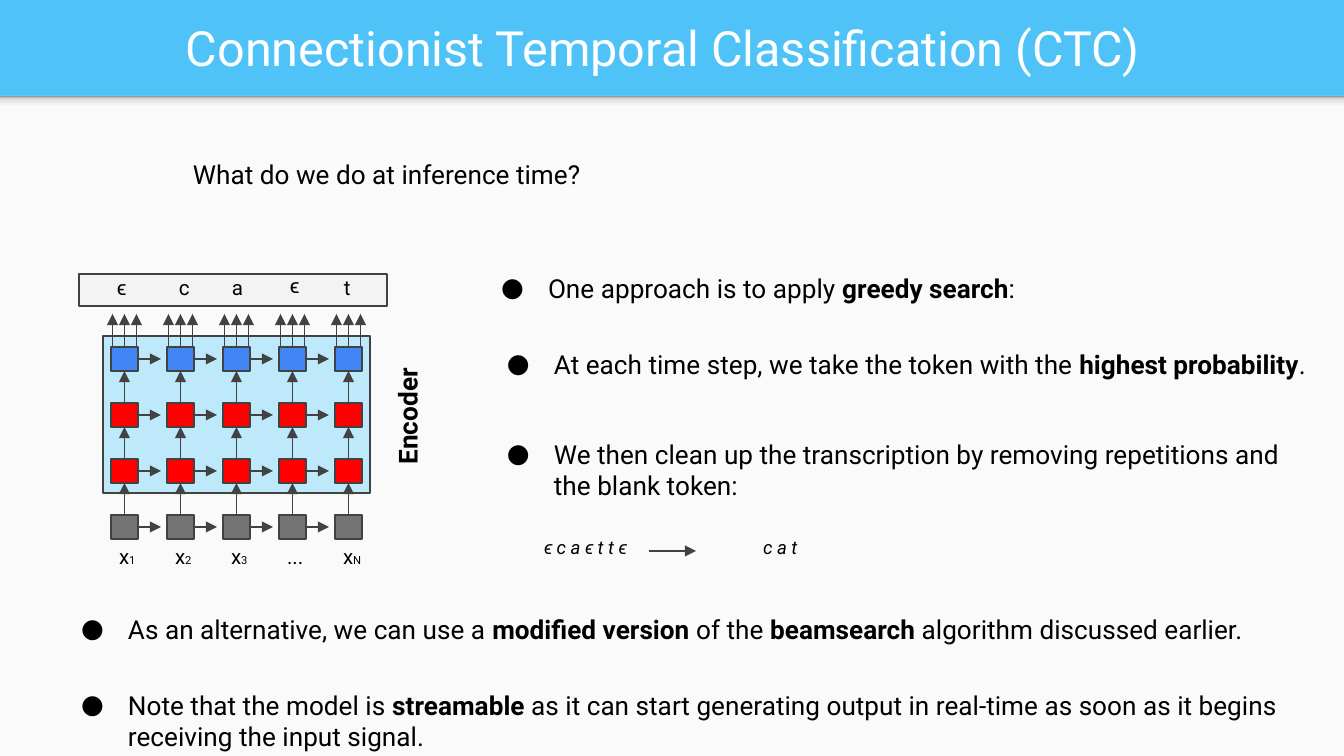
import pptx
import pptx.util
import pptx.dml.color
import pptx.enum.shapes
import pptx.enum.text
import pptx.oxml.ns
from lxml import etree

# Content: places are (left, top, width, height) in px
COLORS = {
    "header": "4FC3F7", "paper": "FAFAFA", "title": "FFFFFF", "text": "000000",
    "line": "424242", "strip": "F3F3F3", "encoder": "00B6FF",
    "output": "4285F4", "hidden": "FF0000", "input": "737373",
}
SHADOW_STOPS = [(0, "F9F9F9"), (36, "F9F9F9"), (80, "DEDEDE"), (100, "999999")]
TITLE = "Connectionist Temporal Classification (CTC)"
QUESTION = "What do we do at inference time?"
# Words between asterisks are bold
BULLETS = [
    ("One approach is to apply *greedy search*:", (468, 259, 831, 59)),
    ("At each time step, we take the token with the *highest probability*.",
     (474, 335, 850, 59)),
    ("We then clean up the transcription by removing repetitions and the blank token:",
     (474, 425, 850, 90)),
    ("As an alternative, we can use a *modified version* of the *beamsearch* "
     "algorithm discussed earlier.", (48, 600, 1263, 59)),
    ("Note that the model is *streamable *as it can start generating output in "
     "real-time as soon as it begins receiving the input signal.", (48, 676, 1263, 90)),
]
EXAMPLE = [("ϵ c a ϵ t t ϵ", (531, 525, 132, 50)), ("c a t", (750, 525, 90, 50))]
TOKENS = [("ϵ", 104, 263), ("c", 166, 263), ("a", 219, 263), ("ϵ", 277, 261), ("t", 331, 263)]
INPUTS = ["x*1*", "x*2*", "x*3*", "...", "x*N*"]
LAYERS = ["output", "hidden", "hidden", "input"]

# Network grid
GRID_LEFT, GRID_TOP, STEP = 111, 347, 56
CELL_WIDTH, CELL_HEIGHT = 27, 24
SIDE_ARROW, UP_ARROW, FAN = 23, 33, 12
INSET = 13


def px(value):
    return pptx.util.Emu(round(value * 914400 / 134.4))


def color(name):
    return pptx.dml.color.RGBColor.from_string(COLORS[name])


def add_xml(parent, tag, **attributes):
    return etree.SubElement(parent, pptx.oxml.ns.qn(tag), attributes)


deck = pptx.Presentation()
deck.slide_width, deck.slide_height = px(1344), px(756)
page = deck.slides.add_slide(deck.slide_layouts[5])
page.background.fill.solid()
page.background.fill.fore_color.rgb = color("header")


def add_rect(place, fill, line="line", alpha=None):
    shape = page.shapes.add_shape(
        pptx.enum.shapes.MSO_SHAPE.RECTANGLE, *[px(value) for value in place])
    shape.shadow.inherit = False
    shape.fill.solid()
    shape.fill.fore_color.rgb = color(fill)
    if alpha:
        tint = shape.fill._xPr.find(".//" + pptx.oxml.ns.qn("a:srgbClr"))
        add_xml(tint, "a:alpha", val=str(alpha * 1000))
    if line:
        shape.line.color.rgb = color(line)
        shape.line.width = pptx.util.Pt(0.75)
    else:
        shape.line.fill.background()
    return shape


def add_arrow(x1, y1, x2, y2, start=None, end=None):
    arrow = page.shapes.add_connector(
        pptx.enum.shapes.MSO_CONNECTOR.STRAIGHT, px(x1), px(y1), px(x2), px(y2))
    arrow.line.color.rgb = color("line")
    arrow.line.width = pptx.util.Pt(0.75)
    add_xml(arrow.line._get_or_add_ln(), "a:tailEnd", type="triangle")
    add_xml(arrow._element.spPr, "a:effectLst")
    if start:
        arrow.begin_connect(*start)
    if end:
        arrow.end_connect(*end)


def write(text, place, size=14, ink="text", bold=False, italic=False, bullet=False,
          marked_size=None, spacing=None, space_after=None, align=None, rotation=0, box=None):
    """Marked parts turn bold, or take marked_size where it is given."""
    left, top, width, height = [px(value) for value in place]
    fitted = box is None
    if fitted:
        box = page.shapes.add_textbox(left, top, width, height)
    box.left, box.top, box.width, box.height = left, top, width, height
    box.rotation = rotation
    frame = box.text_frame
    frame.word_wrap = True
    frame.auto_size = (pptx.enum.text.MSO_AUTO_SIZE.SHAPE_TO_FIT_TEXT if fitted
                       else pptx.enum.text.MSO_AUTO_SIZE.NONE)
    frame.margin_left = frame.margin_right = px(INSET)
    frame.margin_top = frame.margin_bottom = px(INSET)
    para = frame.paragraphs[0]
    if align:
        para.alignment = align
    if spacing:
        para.line_spacing = spacing
    if space_after:
        para.space_after = pptx.util.Pt(space_after)
    if bullet:
        properties = para._p.get_or_add_pPr()
        properties.set("marL", str(px(67)))
        properties.set("indent", str(px(-47)))
        add_xml(add_xml(properties, "a:buClr"), "a:srgbClr", val=COLORS[ink])
        add_xml(properties, "a:buFont", typeface="Roboto")
        add_xml(properties, "a:buChar", char="●")
    for index, part in enumerate(text.split("*")):
        if not part:
            continue
        marked = index % 2 == 1
        span = para.add_run()
        span.text = part
        span.font.name = "Roboto"
        span.font.size = pptx.util.Pt(marked_size if marked and marked_size else size)
        span.font.bold = bold or (marked and not marked_size)
        span.font.italic = italic
        span.font.color.rgb = color(ink)
    return box


# Paper and the shadow under the header
add_rect((0, 96, 1344, 660), "paper", line=None)
shadow = add_rect((0, 96, 1344, 16), "paper", line=None)
shadow.fill.gradient()
shadow.fill.gradient_angle = 90
stops = shadow._element.spPr.find(".//" + pptx.oxml.ns.qn("a:gsLst"))
for old_stop in list(stops):
    stops.remove(old_stop)
for position, shade in SHADOW_STOPS:
    stop = add_xml(stops, "a:gs", pos=str(position * 1000))
    add_xml(stop, "a:srgbClr", val=shade)

# Title and question
title = write(TITLE, (15, 3, 1297, 89), size=26, ink="title", box=page.shapes.title,
              align=pptx.enum.text.PP_ALIGN.CENTER)
title.text_frame.vertical_anchor = pptx.enum.text.MSO_ANCHOR.MIDDLE
write(QUESTION, (180, 141, 454, 59), spacing=1.15, space_after=12)

# Encoder panel and token strip
add_rect((79, 274, 308, 32), "strip")
add_rect((103, 336, 267, 157), "encoder", alpha=24)
write("Encoder", (342, 382, 132, 59), bold=True, rotation=270)

# Network cells, then the arrows between them
cells = [[add_rect((GRID_LEFT + column * STEP, GRID_TOP + row * STEP,
                    CELL_WIDTH, CELL_HEIGHT), layer)
          for column in range(len(INPUTS))] for row, layer in enumerate(LAYERS)]
for row, layer_cells in enumerate(cells):
    top = GRID_TOP + row * STEP
    for column, cell in enumerate(layer_cells):
        left = GRID_LEFT + column * STEP
        right, center, middle = left + CELL_WIDTH, left + CELL_WIDTH / 2, top + CELL_HEIGHT / 2
        if column < len(INPUTS) - 1:
            add_arrow(right, middle, right + SIDE_ARROW, middle, start=(cell, 3))
        if row:
            add_arrow(center, top, center, top - UP_ARROW,
                      start=(cell, 0), end=(cells[row - 1][column], 2))
        else:
            for shift in (-FAN, 0, FAN):
                add_arrow(center + shift, top, center + shift, top - UP_ARROW,
                          start=None if shift else (cell, 0))

# Labels above and below the network
for token, left, top in TOKENS:
    write(token, (left, top, 60, 52), size=11)
for column, label in enumerate(INPUTS):
    write(label, (106 + column * STEP, 532, 50, 52), size=11, marked_size=6)

# Bullets and the clean-up example
for text, place in BULLETS:
    write(text, place, bullet=True)
for text, place in EXAMPLE:
    write(text, place, size=10, italic=True)
add_arrow(649, 551, 696, 551)

deck.save("out.pptx")
